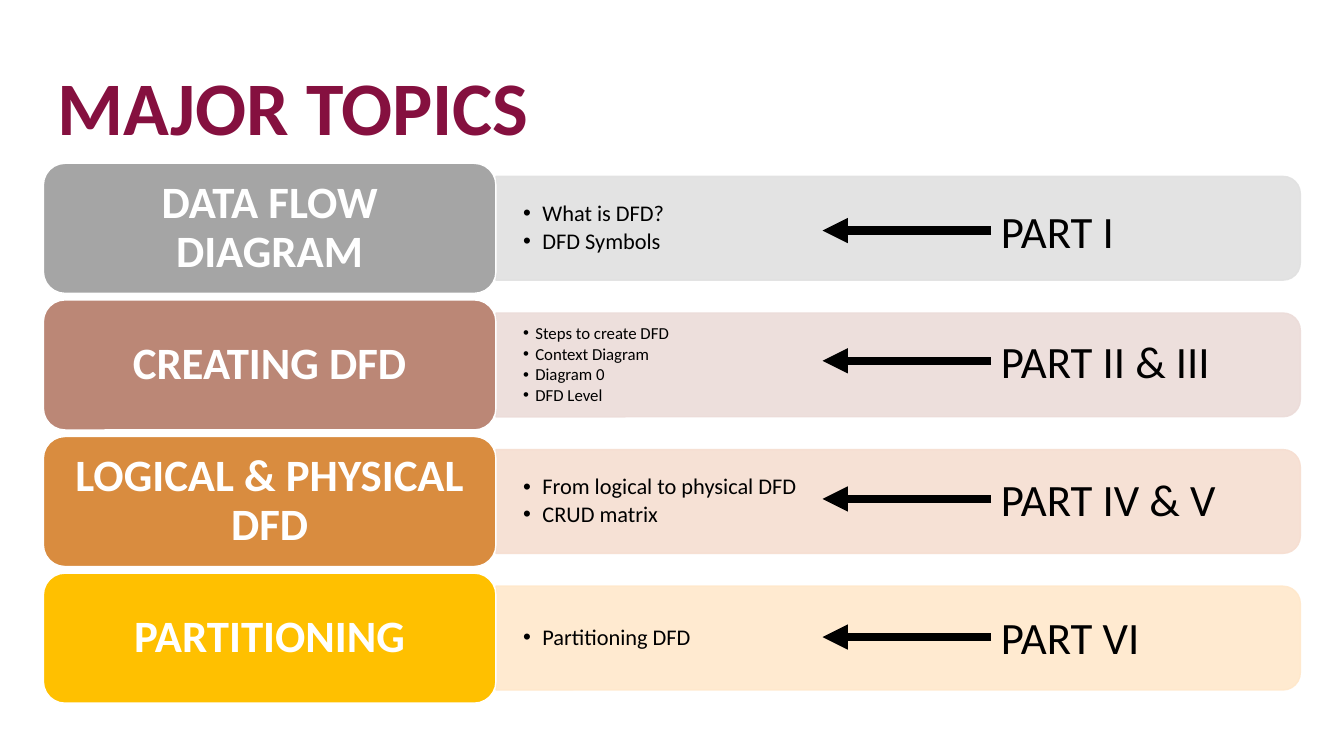
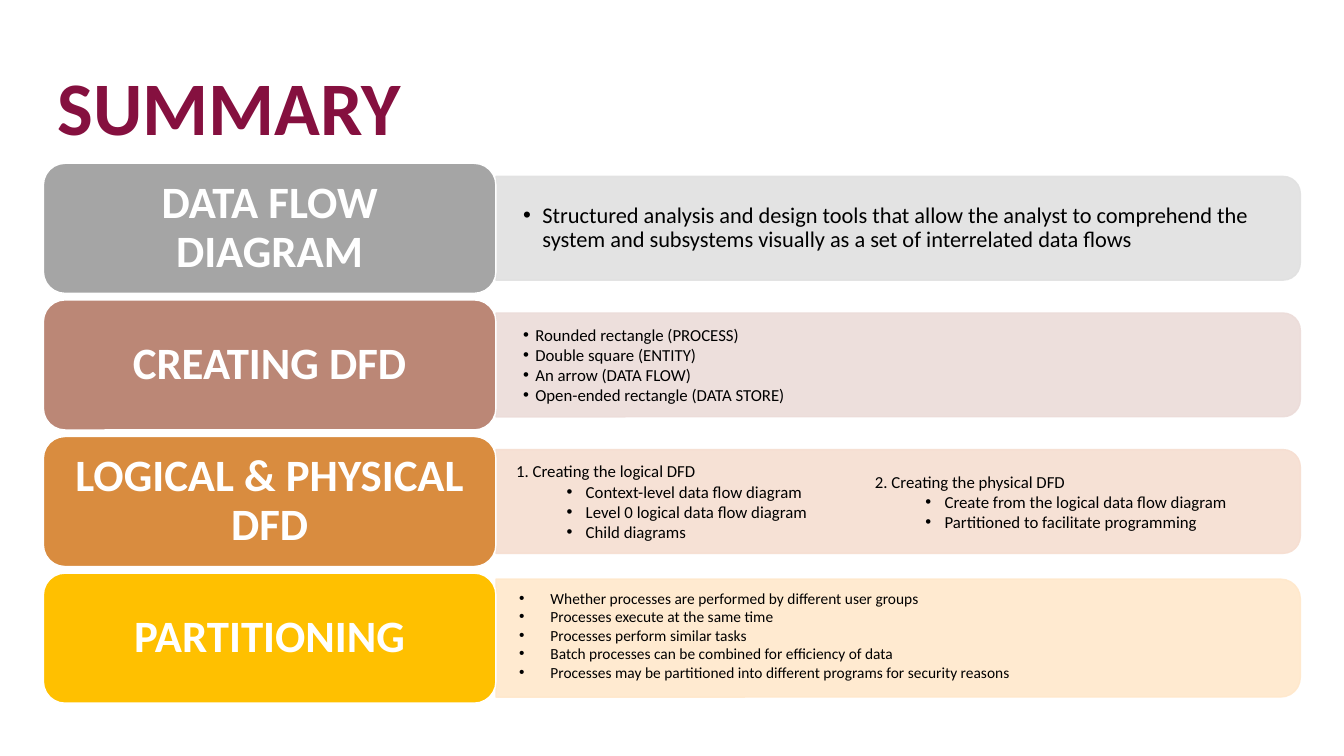
from lxml.etree import SubElement
from pptx import Presentation
from pptx.dml.color import RGBColor
from pptx.enum.shapes import MSO_CONNECTOR, MSO_SHAPE
from pptx.enum.text import MSO_ANCHOR, PP_ALIGN
from pptx.oxml.ns import qn
from pptx.util import Emu, Inches, Pt

FONT = "Calibri"
BLACK = RGBColor(0x00, 0x00, 0x00)
WHITE = RGBColor(0xFF, 0xFF, 0xFF)
WINE = RGBColor(0x85, 0x10, 0x3F)
TOPICS = (
    ("DATA FLOW DIAGRAM", RGBColor(0xA5, 0xA5, 0xA5), RGBColor(0xE1, 0xE1, 0xE1)),
    ("CREATING DFD", RGBColor(0xBB, 0x87, 0x76), RGBColor(0xEC, 0xDC, 0xD9)),
    ("LOGICAL & PHYSICAL DFD", RGBColor(0xD9, 0x8C, 0x3F), RGBColor(0xF6, 0xDE, 0xD1)),
    ("PARTITIONING", RGBColor(0xFF, 0xC0, 0x00), RGBColor(0xFF, 0xE8, 0xCB)),
)
LEFT, SPLIT, RIGHT = 3.23, 36.9, 96.75
TOP, PITCH, TALL, BAND = 21.6, 18.07, 17.2, 13.73
LIST = 38.93
MIDS = [TOP + TALL / 2 + PITCH * row for row in range(len(TOPICS))]


class Deck:
    """Holds the style and current slide on a grid of 100 columns by 100 rows."""

    def __init__(self):
        self.prs = Presentation()
        self.prs.slide_width = Inches(13.33)
        self.prs.slide_height = Inches(7.5)
        self.slide = None

    def col(self, count):
        return Emu(round(self.prs.slide_width * count / 100))

    def row(self, count):
        return Emu(round(self.prs.slide_height * count / 100))

    def start(self, title, bands):
        self.slide = self.prs.slides.add_slide(self.prs.slide_layouts[6])
        for (name, dark, pale), mid, tall in zip(TOPICS, MIDS, bands):
            self.panel(mid, tall, pale)
            self.label(mid, name, dark)
        frame = self.box(4.28, 9.33, 86, 13)
        para = frame.paragraphs[0]
        para.line_spacing = 0.9
        self.run(para, title, 54, WINE, True)

    def run(self, para, text, size, color=BLACK, bold=False):
        run = para.add_run()
        run.text = text
        font = run.font
        font.name, font.size, font.bold = FONT, Pt(size), bold
        font.color.rgb = color

    def box(self, x, y, wide, tall, anchor=MSO_ANCHOR.TOP):
        area = self.col(x), self.row(y), self.col(wide), self.row(tall)
        frame = self.slide.shapes.add_textbox(*area).text_frame
        frame.word_wrap = True
        frame.vertical_anchor = anchor
        frame.margin_left = frame.margin_right = 0
        frame.margin_top = frame.margin_bottom = 0
        return frame

    def shape(self, kind, area, fill, line):
        shape = self.slide.shapes.add_shape(kind, *area)
        shape.shadow.inherit = False
        shape.fill.solid()
        shape.fill.fore_color.rgb = fill
        shape.line.color.rgb = line
        shape.line.width = Pt(1)
        return shape

    def panel(self, mid, tall, color):
        wide, high = self.col(RIGHT - SPLIT), self.row(tall)
        left = self.col((SPLIT + RIGHT) / 2) - high // 2
        top = self.row(mid) - wide // 2
        area = left, top, high, wide
        shape = self.shape(MSO_SHAPE.ROUND_2_SAME_RECTANGLE, area, color, color)
        shape.rotation = 90
        for tint in shape.element.spPr.iter(qn("a:srgbClr")):
            SubElement(tint, qn("a:alpha"), val="90000")

    def label(self, mid, text, color):
        area = (self.col(LEFT), self.row(mid - TALL / 2),
                self.col(SPLIT - LEFT), self.row(TALL))
        shape = self.shape(MSO_SHAPE.ROUNDED_RECTANGLE, area, color, WHITE)
        frame = shape.text_frame
        frame.word_wrap = True
        frame.vertical_anchor = MSO_ANCHOR.MIDDLE
        frame.margin_left = frame.margin_right = self.col(1)
        para = frame.paragraphs[0]
        para.alignment = PP_ALIGN.CENTER
        para.line_spacing = 0.9
        self.run(para, text, 32, WHITE, True)

    def bullets(self, mid, items, size, hang, x=LIST, wide=55.4,
                indent=None, head=None, tight=False):
        frame = self.box(x, mid - BAND / 2, wide, BAND, MSO_ANCHOR.MIDDLE)
        para = frame.paragraphs[0]
        if head:
            self.run(para, head, size)
        for spot, item in enumerate(items):
            if spot or head:
                para = frame.add_paragraph()
            props = para._p.get_or_add_pPr()
            props.set("marL", str(self.col(indent or hang)))
            props.set("indent", str(-self.col(hang)))
            SubElement(props, qn("a:buFont"), typeface="Arial")
            SubElement(props, qn("a:buChar"), char="•")
            if tight:
                para.line_spacing = 0.9
                para.space_after = Pt(size * 0.15)
            self.run(para, item, size)

    def arrow(self, mid, text):
        frame = self.box(74.48, mid - 4, 21, 8, MSO_ANCHOR.MIDDLE)
        self.run(frame.paragraphs[0], text, 32)
        y = self.row(mid)
        line = self.slide.shapes.add_connector(
            MSO_CONNECTOR.STRAIGHT, self.col(73.74), y, self.col(61.2), y)
        line.line.color.rgb = BLACK
        line.line.width = Pt(6)
        props = line.element.spPr
        SubElement(props.find(qn("a:ln")), qn("a:tailEnd"), type="triangle")
        SubElement(props, qn("a:effectLst"))


def topics(deck):
    deck.start("MAJOR TOPICS", [BAND] * 4)
    rows = (
        (("What is DFD?", "DFD Symbols"), 16, 1.43, "PART I", 30.5),
        (("Steps to create DFD", "Context Diagram", "Diagram 0", "DFD Level"),
         12, 0.9, "PART II & III", 47.73),
        (("From logical to physical DFD", "CRUD matrix"),
         16, 1.43, "PART IV & V", 66),
        (("Partitioning DFD",), 16, 1.43, "PART VI", 84.27),
    )
    for mid, (items, size, hang, text, level) in zip(MIDS, rows):
        deck.bullets(mid, items, size, hang, tight=True)
        deck.arrow(level, text)


def recap(deck):
    deck.start("SUMMARY", [BAND] * 3 + [15.6])
    flow, make, model, split = MIDS
    deck.bullets(flow, (
        "Structured analysis and design tools that allow the analyst to "
        "comprehend the system and subsystems visually as a set of "
        "interrelated data flows",), 16, 1.43, tight=True)
    deck.bullets(make, (
        "Rounded rectangle (PROCESS)", "Double square (ENTITY)",
        "An arrow (DATA FLOW)", "Open-ended rectangle (DATA STORE)"), 12, 0.9)
    pair = (
        (38.4, "1. Creating the logical DFD", (
            "Context-level data flow diagram",
            "Level 0 logical data flow diagram", "Child diagrams")),
        (65.1, "2. Creating the physical DFD", (
            "Create from the logical data flow diagram",
            "Partitioned to facilitate programming")),
    )
    for x, head, items in pair:
        deck.bullets(model, items, 12, 1.43, x, 30, 5.18, head)
    deck.bullets(split - 0.4, (
        "Whether processes are performed by different user groups",
        "Processes execute at the same time",
        "Processes perform similar tasks",
        "Batch processes can be combined for efficiency of data",
        "Processes may be partitioned into different programs for security reasons",
    ), 11, 2.33, 38.63)


def main():
    deck = Deck()
    topics(deck)
    recap(deck)
    deck.prs.save("out.pptx")


if __name__ == "__main__":
    main()
